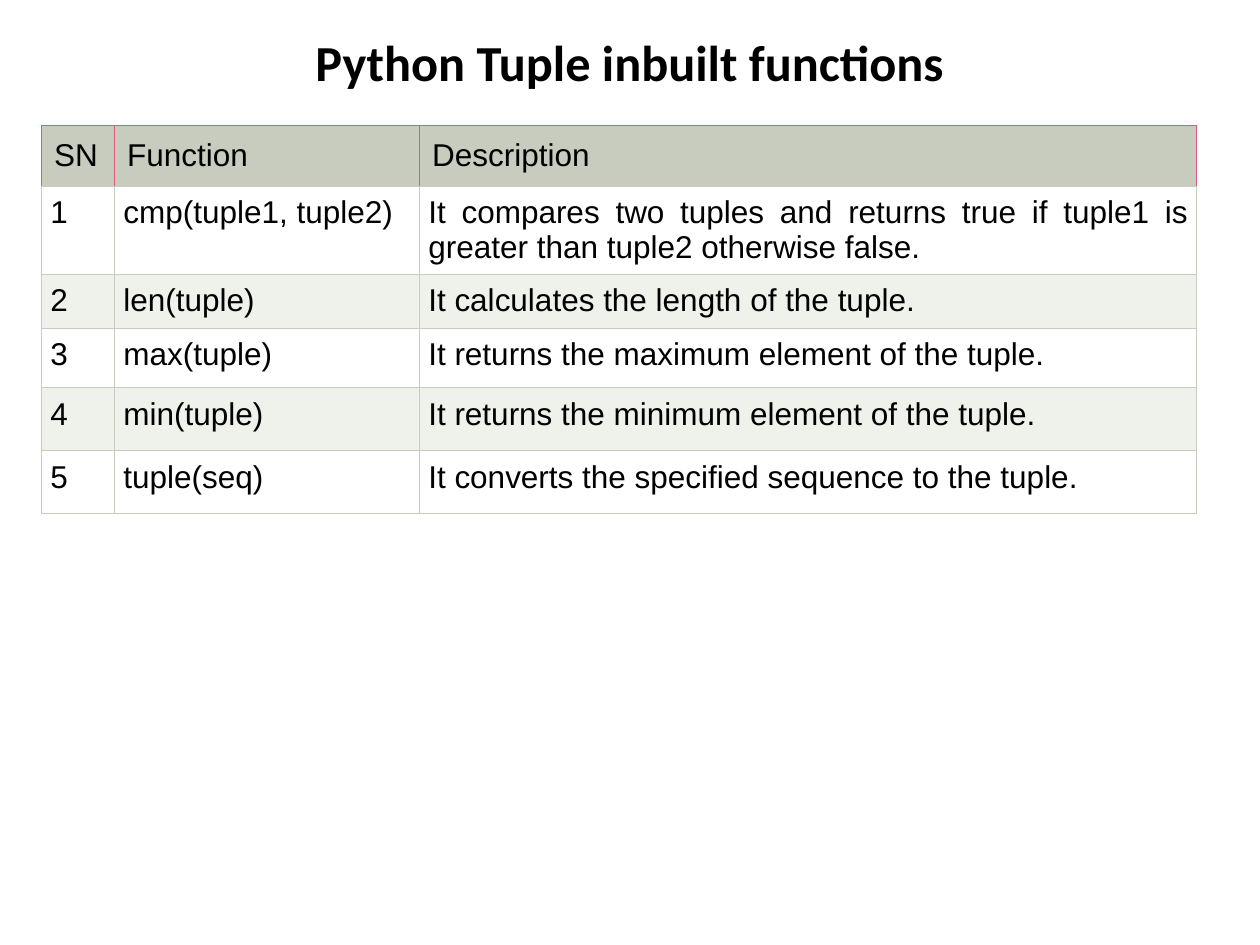
"""Build a slide that tabulates the inbuilt functions of Python tuples."""
import dataclasses
import typing

import lxml.etree
import pptx
import pptx.dml.color
import pptx.enum.text
import pptx.oxml.ns
import pptx.util

RGBColor = pptx.dml.color.RGBColor
Align = pptx.enum.text.PP_ALIGN
Anchor = pptx.enum.text.MSO_ANCHOR

BLACK = RGBColor(0x00, 0x00, 0x00)
WHITE = RGBColor(0xFF, 0xFF, 0xFF)
SAGE = RGBColor(0xC7, 0xCC, 0xBE)
PALE_SAGE = RGBColor(0xEF, 0xF1, 0xEB)
ROSE = RGBColor(0xE0, 0x59, 0x78)

SLIDE_WIDTH = pptx.util.Inches(10)
SLIDE_HEIGHT = pptx.util.Inches(7.5)
BORDER_WIDTH = pptx.util.Pt(0.75)

TITLE_FONT = {"name": "Calibri", "size": pptx.util.Pt(28.8), "bold": True}
TABLE_FONT = {"name": "Arial", "size": pptx.util.Pt(18), "bold": False}
COLUMN_INCHES = (0.58, 2.42, 6.17)
ROW_INCHES = (0.44, 0.64, 0.43, 0.47, 0.5, 0.5)
HEADINGS = ("SN", "Function", "Description")


@dataclasses.dataclass(frozen=True)
class TupleFunction:
    """A function call and what it does."""

    call: str
    description: str


@dataclasses.dataclass(frozen=True)
class CellStyle:
    """The fill, outer border colour and margin of a table cell."""

    fill: RGBColor
    border: RGBColor
    margin: float


HEADER_STYLE = CellStyle(SAGE, ROSE, 0.1)
BODY_STYLES = (CellStyle(WHITE, SAGE, 0.07), CellStyle(PALE_SAGE, SAGE, 0.07))

FUNCTIONS = (
    TupleFunction(
        "cmp(tuple1, tuple2)",
        "It compares two tuples and returns true if tuple1 is greater than tuple2 otherwise false.",
    ),
    TupleFunction("len(tuple)", "It calculates the length of the tuple."),
    TupleFunction("max(tuple)", "It returns the maximum element of the tuple."),
    TupleFunction("min(tuple)", "It returns the minimum element of the tuple."),
    TupleFunction("tuple(seq)", "It converts the specified sequence to the tuple."),
)


def set_attributes(target: typing.Any, values: dict[str, typing.Any]) -> None:
    """Set each named attribute of the target."""
    for name, value in values.items():
        setattr(target, name, value)


def place(left: float, top: float, width: float, height: float) -> dict[str, int]:
    """Turn shares of the slide's size into a position and size."""
    return {
        "left": int(left * SLIDE_WIDTH),
        "top": int(top * SLIDE_HEIGHT),
        "width": int(width * SLIDE_WIDTH),
        "height": int(height * SLIDE_HEIGHT),
    }


def write_paragraph(paragraph: typing.Any, text: str, font: dict[str, typing.Any], alignment: Align) -> None:
    """Write formatted black text into a paragraph."""
    paragraph.text = text
    paragraph.alignment = alignment
    set_attributes(paragraph.font, font)
    paragraph.font.color.rgb = BLACK


def add_borders(cell: typing.Any, border: RGBColor) -> None:
    """Draw the four cell borders, the bottom one always in sage."""
    properties = cell._tc.get_or_add_tcPr()
    qualified = pptx.oxml.ns.qn
    for side, color in (("L", border), ("R", border), ("T", border), ("B", SAGE)):
        line = lxml.etree.SubElement(properties, qualified(f"a:ln{side}"), w=str(BORDER_WIDTH))
        fill = lxml.etree.SubElement(line, qualified("a:solidFill"))
        lxml.etree.SubElement(fill, qualified("a:srgbClr"), val=str(color))


def write_cell(cell: typing.Any, text: str, style: CellStyle, alignment: Align) -> None:
    """Fill a table cell with text in the given style."""
    add_borders(cell, style.border)
    cell.fill.solid()
    cell.fill.fore_color.rgb = style.fill
    margin = pptx.util.Inches(style.margin)
    set_attributes(cell, {f"margin_{side}": margin for side in ("left", "top", "right", "bottom")})
    cell.vertical_anchor = Anchor.TOP
    write_paragraph(cell.text_frame.paragraphs[0], text, TABLE_FONT, alignment)


def add_title(slide: typing.Any, text: str) -> None:
    """Move and format the title placeholder."""
    title = slide.shapes.title
    set_attributes(title, place(0.05, 0.023, 0.9, 0.083))
    set_attributes(title.text_frame, {"word_wrap": True, "vertical_anchor": Anchor.MIDDLE})
    write_paragraph(title.text_frame.paragraphs[0], text, TITLE_FONT, Align.CENTER)


def add_function_table(slide: typing.Any) -> None:
    """Add the table of functions below the title."""
    box = place(0.033, 0.133, 0.917, 0.397)
    table = slide.shapes.add_table(len(ROW_INCHES), len(COLUMN_INCHES), **box).table
    for column, width in zip(table.columns, COLUMN_INCHES):
        column.width = pptx.util.Inches(width)
    for row, height in zip(table.rows, ROW_INCHES):
        row.height = pptx.util.Inches(height)
    for column, heading in enumerate(HEADINGS):
        write_cell(table.cell(0, column), heading, HEADER_STYLE, Align.LEFT)
    for number, function in enumerate(FUNCTIONS, start=1):
        style = BODY_STYLES[(number - 1) % len(BODY_STYLES)]
        write_cell(table.cell(number, 0), str(number), style, Align.LEFT)
        write_cell(table.cell(number, 1), function.call, style, Align.LEFT)
        write_cell(table.cell(number, 2), function.description, style, Align.JUSTIFY)


def main() -> None:
    """Build and save the presentation."""
    presentation = pptx.Presentation()
    set_attributes(presentation, {"slide_width": SLIDE_WIDTH, "slide_height": SLIDE_HEIGHT})
    slide = presentation.slides.add_slide(presentation.slide_layouts.get_by_name("Title Only"))
    add_title(slide, "Python Tuple inbuilt functions")
    add_function_table(slide)
    presentation.save("out.pptx")


if __name__ == "__main__":
    main()
